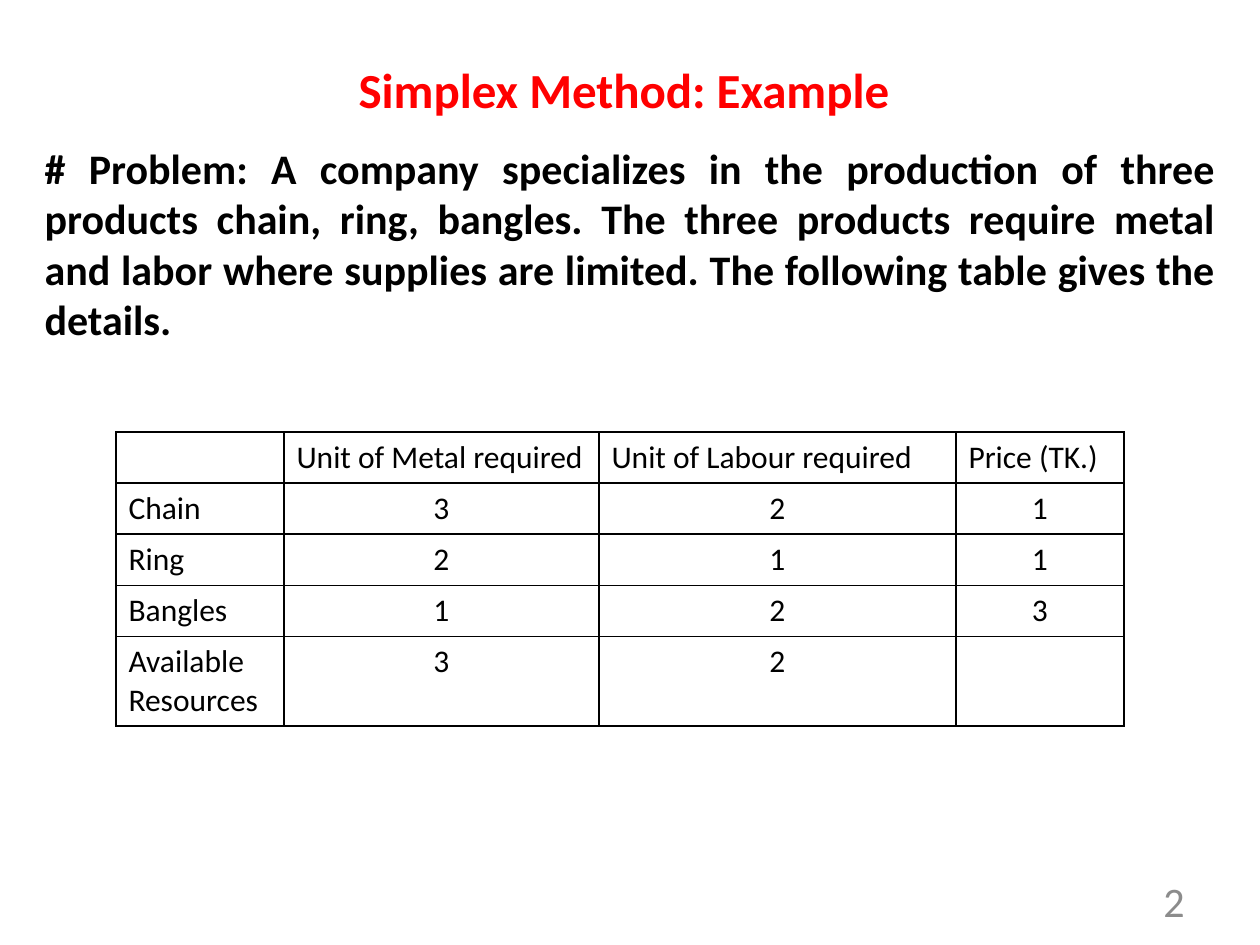
from lxml import etree
from pptx import Presentation
from pptx.dml.color import RGBColor
from pptx.enum.text import MSO_ANCHOR, MSO_AUTO_SIZE, PP_ALIGN
from pptx.oxml.ns import qn
from pptx.util import Pt

LEFT, MID, RIGHT, JUST = PP_ALIGN.LEFT, PP_ALIGN.CENTER, PP_ALIGN.RIGHT, PP_ALIGN.JUSTIFY
TOP, CENTRE = MSO_ANCHOR.TOP, MSO_ANCHOR.MIDDLE
FIXED = MSO_AUTO_SIZE.NONE
PX = 914400 / 126
FONT = "Calibri"
HUES = {"title": "FF0000", "text": "000000", "number": "8C8C8C", "line": "000000", "cell": "FFFFFF"}

TITLE = "Simplex Method: Example"
PROBLEM = (
    "# Problem: A company specializes in the production of three products "
    "chain, ring, bangles. The three products require metal and labor where "
    "supplies are limited. The following table gives the details."
)
ROWS = [
    ["", "Unit of Metal required", "Unit of Labour required", "Price (TK.)"],
    ["Chain", "3", "2", "1"],
    ["Ring", "2", "1", "1"],
    ["Bangles", "1", "2", "3"],
    ["Available Resources", "3", "2", ""],
]
COLS = [168, 315, 357, 168]
HEIGHTS = [51, 51, 51, 51, 88]


def emu(px):
    return round(px * PX)


def style(para, size, hue, align, bold=False):
    para.alignment = align
    for run in para.runs:
        font = run.font
        font.name, font.size, font.bold = FONT, Pt(size), bold
        font.color.rgb = RGBColor.from_string(HUES[hue])


def write(shape, box, text, size, hue, align, bold=False, anchor=TOP):
    """Place a text shape in its box and format its one paragraph."""
    shape.left, shape.top, shape.width, shape.height = map(emu, box)
    frame = shape.text_frame
    frame.word_wrap = True
    frame.auto_size = FIXED
    frame.vertical_anchor = anchor
    frame.text = text
    para = frame.paragraphs[0]
    para.space_before = Pt(0)
    style(para, size, hue, align, bold)
    return para


def add_title(slide, box):
    write(slide.shapes.title, box, TITLE, 28, "title", JUST, True)


def add_body(slide, box):
    para = write(slide.placeholders[1], box, PROBLEM, 24, "text", JUST, True)
    props = para._p.get_or_add_pPr()
    props.set("marL", "0")
    props.set("indent", "0")
    etree.SubElement(props, qn("a:buNone"))


def add_number(slide, box):
    shape = slide.shapes.add_textbox(0, 0, 0, 0)
    write(shape, box, "2", 24, "number", RIGHT, anchor=CENTRE)


def rule(cell):
    """Draw a thin line on all four sides of a cell."""
    props = cell._tc.get_or_add_tcPr()
    for side in "LRTB":
        line = etree.SubElement(props, qn(f"a:ln{side}"), w=str(Pt(1)))
        fill = etree.SubElement(line, qn("a:solidFill"))
        etree.SubElement(fill, qn("a:srgbClr"), val=HUES["line"])


def add_grid(slide, left, top):
    box = map(emu, (left, top, sum(COLS), sum(HEIGHTS)))
    table = slide.shapes.add_table(len(ROWS), len(COLS), *box).table
    table.first_row = table.horz_banding = False
    for col, width in zip(table.columns, COLS):
        col.width = emu(width)
    for r, (row, height) in enumerate(zip(ROWS, HEIGHTS)):
        table.rows[r].height = emu(height)
        for c, text in enumerate(row):
            cell = table.cell(r, c)
            rule(cell)
            cell.fill.solid()
            cell.fill.fore_color.rgb = RGBColor.from_string(HUES["cell"])
            cell.text = text
            style(cell.text_frame.paragraphs[0], 18, "text", MID if r and c else LEFT)


def main():
    deck = Presentation()
    deck.slide_width, deck.slide_height = emu(1260), emu(945)
    slide = deck.slides.add_slide(deck.slide_layouts[1])
    add_number(slide, (1113, 876, 84, 50))
    add_title(slide, (346, 53, 578, 72))
    add_body(slide, (32, 136, 1196, 217))
    add_grid(slide, 116, 432)
    deck.save("out.pptx")


if __name__ == "__main__":
    main()
